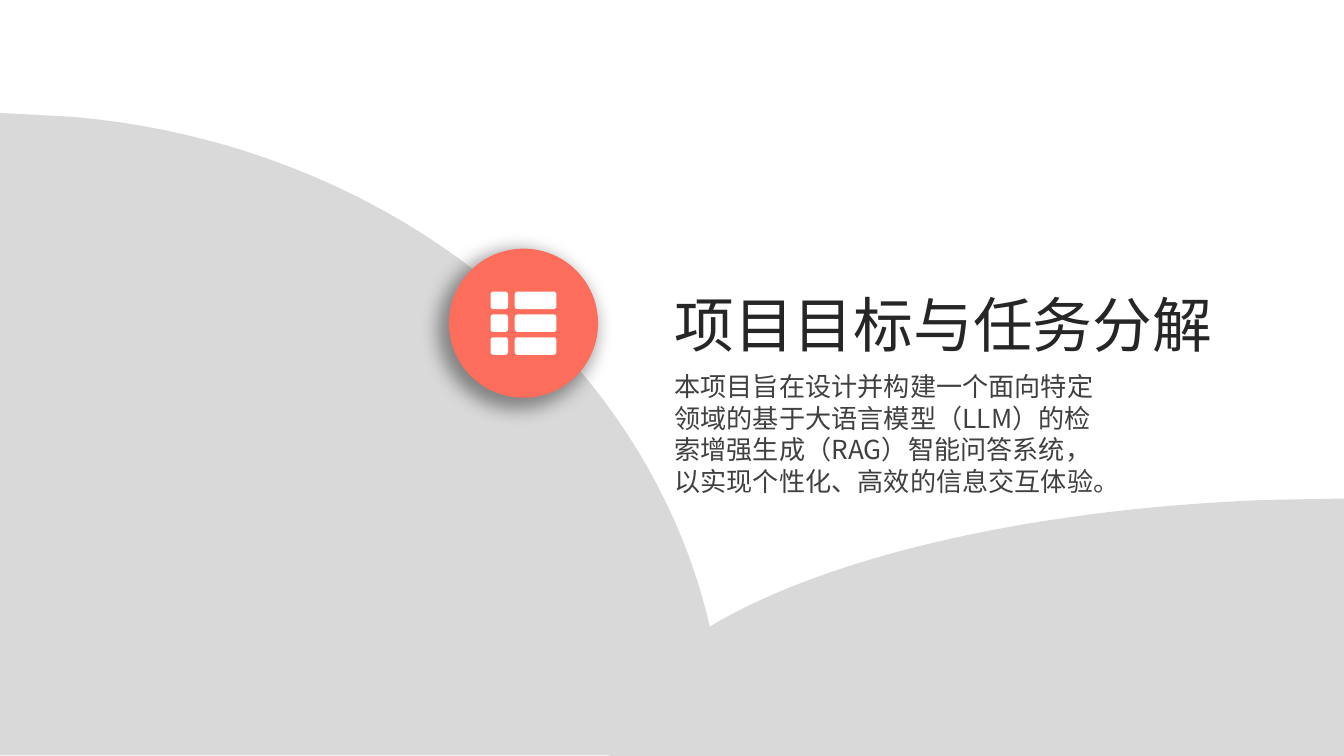
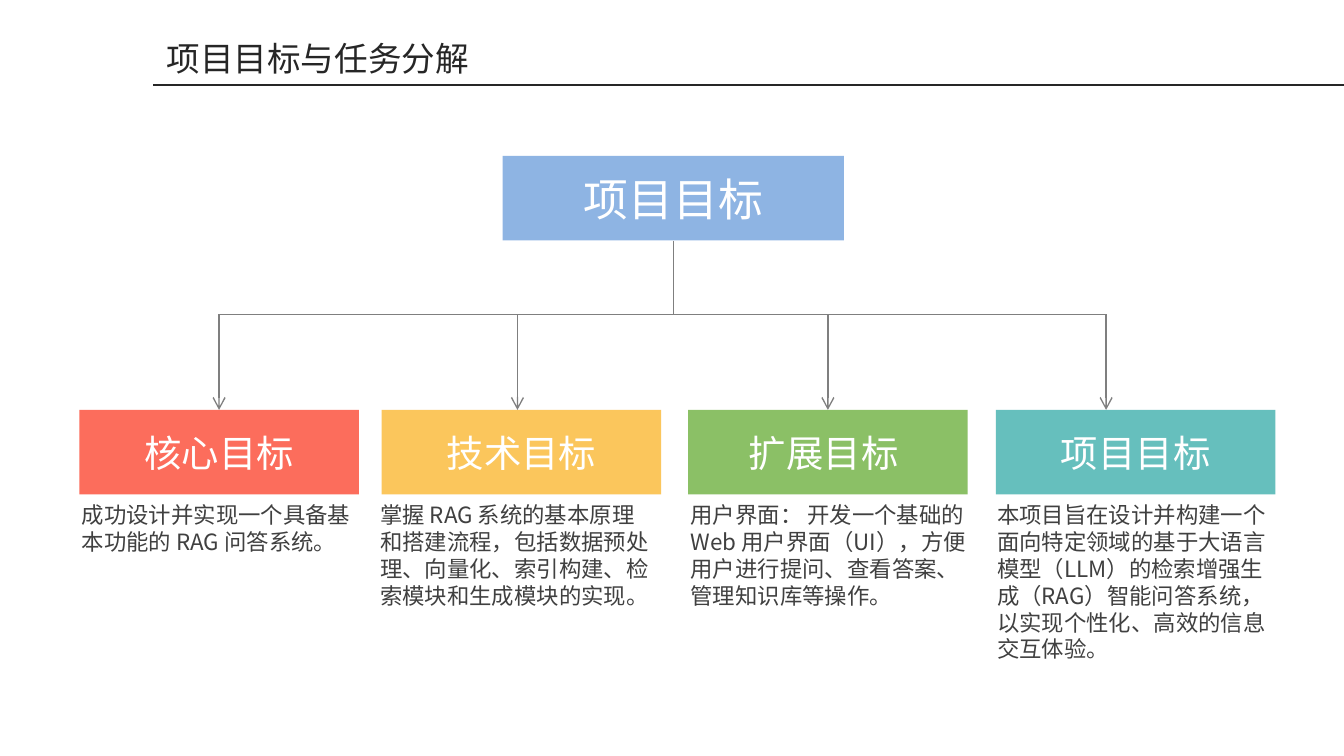
import math

from lxml import etree
from pptx import Presentation
from pptx import util as u
from pptx.dml.color import RGBColor
from pptx.enum import shapes, text
from pptx.oxml.ns import qn

FONT = "Noto Sans CJK SC"
DARK, BODY, GREY, HILL, WHITE = "262626", "404040", "7F7F7F", "D9D9D9", "FFFFFF"
CORAL, YELLOW, GREEN, TEAL, BLUE = "FC6D5C", "FBC65C", "8BC066", "66BFBD", "8EB4E3"
TITLE = "项目目标与任务分解"
INTRO = ("本项目旨在设计并构建一个面向特定领域的基于大语言模型（LLM）的检索增强生成（RAG）"
         "智能问答系统，以实现个性化、高效的信息交互体验。")
color = RGBColor.from_string


def write(slide, words, box, size, ink, fill=None, wrap=True):
    """Add a text box, or a filled rectangle with centred text."""
    place = [u.Inches(value) for value in box]
    if fill:
        shape = slide.shapes.add_shape(shapes.MSO_SHAPE.RECTANGLE, *place)
        shape.shadow.inherit = False
        shape.fill.solid()
        shape.fill.fore_color.rgb = color(fill)
        shape.line.fill.background()
        frame_format = {"vertical_anchor": text.MSO_ANCHOR.MIDDLE, "word_wrap": wrap}
    else:
        shape = slide.shapes.add_textbox(*place)
        frame_format = {"auto_size": text.MSO_AUTO_SIZE.SHAPE_TO_FIT_TEXT, "word_wrap": wrap}
    for name, value in frame_format.items():
        setattr(shape.text_frame, name, value)
    paragraph = shape.text_frame.paragraphs[0]
    paragraph.alignment = text.PP_ALIGN.CENTER if fill else text.PP_ALIGN.LEFT
    run = paragraph.add_run()
    run.text = words
    for name, value in {"size": u.Pt(size), "name": FONT, "bold": False}.items():
        setattr(run.font, name, value)
    run.font.color.rgb = color(ink)
    etree.SubElement(run.font._element, qn("a:ea"), typeface=FONT)
    return shape


def outline(slide, contours, fill):
    """Add one filled freeform from closed contours given in inches."""
    contours = [[(u.Inches(x), u.Inches(y)) for x, y in contour] for contour in contours]
    builder = slide.shapes.build_freeform(*contours[0][0])
    for index, contour in enumerate(contours):
        if index:
            builder.move_to(*contour[0])
        builder.add_line_segments(contour[1:], close=True)
    shape = builder.convert_to_shape()
    shape.shadow.inherit = False
    shape.fill.solid()
    shape.fill.fore_color.rgb = color(fill)
    shape.line.fill.background()


# Widescreen 16:9 page
presentation = Presentation()
presentation.slide_width = u.Inches(10)
presentation.slide_height = u.Inches(10 * 9 / 16)
blank = presentation.slide_layouts[6]

# Section slide: two hills, each a Bézier slope closed by straight edges
slide = presentation.slides.add_slide(blank)
hills = [
    ([(4.53, 5.64), (4.53, 4.64), (6.68, 3.82), (9.44, 3.72)], [(10, 3.71), (10, 5.64)]),
    ([(5.39, 5.62), (5.39, 3.15), (3.27, 1.11), (0.55, 0.87)], [(0, 0.84), (0, 5.62)]),
]
STEPS = 48
for controls, edges in hills:
    slope = []
    for step in range(STEPS + 1):
        t = step / STEPS
        weights = [math.comb(3, k) * t ** k * (1 - t) ** (3 - k) for k in range(4)]
        slope.append([sum(w * point[axis] for w, point in zip(weights, controls))
                      for axis in (0, 1)])
    outline(slide, [slope + edges], HILL)

write(slide, TITLE, (4.92, 2.09, 4.24, 0.64), 32, DARK, wrap=False)

# Badge with a soft shadow, slightly larger than the badge
badge = slide.shapes.add_shape(shapes.MSO_SHAPE.OVAL, u.Inches(3.34), u.Inches(1.85),
                               u.Inches(1.11), u.Inches(1.11))
badge.shadow.inherit = False
badge.fill.solid()
badge.fill.fore_color.rgb = color(CORAL)
badge.line.fill.background()
effects = badge._element.spPr.find(qn("a:effectLst"))
shadow = etree.SubElement(effects, qn("a:outerShdw"), blurRad=str(u.Pt(10)),
                          dist=str(u.Pt(5)), dir=str(135 * 60000), sx="106000",
                          sy="106000", algn="ctr", rotWithShape="0")
shade = etree.SubElement(shadow, qn("a:srgbClr"), val="000000")
etree.SubElement(shade, qn("a:alpha"), val="40000")

# List icon: three rows of a bullet and a bar, with rounded corners
RADIUS = 0.02
tiles = []
for left, right in ((3.65, 3.78), (3.83, 4.14)):
    for row in range(3):
        top = 2.17 + row * 0.17
        bottom = top + 0.13
        corners = [(right - RADIUS, bottom - RADIUS), (left + RADIUS, bottom - RADIUS),
                   (left + RADIUS, top + RADIUS), (right - RADIUS, top + RADIUS)]
        tiles.append([(x + RADIUS * math.cos(math.radians(angle)),
                       y + RADIUS * math.sin(math.radians(angle)))
                      for quarter, (x, y) in enumerate(corners)
                      for angle in range(quarter * 90, quarter * 90 + 91, 30)])
outline(slide, tiles, WHITE)

write(slide, INTRO, (4.92, 2.71, 3.37, 1.04), 14, BODY)

# Goal tree slide: header
slide = presentation.slides.add_slide(blank)
write(slide, TITLE, (1.14, 0.23, 2.47, 0.4), 18, DARK, wrap=False)

# Goal boxes and their descriptions: heading, colour, box left, arrow x, text left, height
BAR_Y, GOAL_Y, GOAL_W, GOAL_H = 2.34, 3.05, 2.08, 0.63
goals = [
    ("核心目标", CORAL, 0.59, 1.63, 0.51, 0.5,
     "成功设计并实现一个具备基本功能的 RAG 问答系统。"),
    ("技术目标", YELLOW, 2.84, 3.85, 2.73, 0.91,
     "掌握 RAG 系统的基本原理和搭建流程，包括数据预处理、向量化、索引构建、检索模块和生成模块的实现。"),
    ("扩展目标 ", GREEN, 5.12, 6.16, 5.04, 0.91,
     "用户界面： 开发一个基础的 Web 用户界面（UI），方便用户进行提问、查看答案、管理知识库等操作。"),
    ("项目目标", TEAL, 7.41, 8.23, 7.32, 1.31, INTRO),
]
root = write(slide, "项目目标", (3.74, 1.16, 2.54, GOAL_H), 24, WHITE, BLUE)

# Lines: start, end, colour, width, arrowhead, joined start box, joined end box
lines = [
    ((1.14, 0.63), (10, 0.63), DARK, 1, False, None, None),
    ((goals[0][3], BAR_Y), (goals[-1][3], BAR_Y), GREY, 0.75, False, None, None),
    ((5.01, 1.79), (5.01, BAR_Y), GREY, 0.75, False, root, None),
]
for heading, fill, left, arrow_x, text_left, height, detail in goals:
    goal = write(slide, heading, (left, GOAL_Y, GOAL_W, GOAL_H), 20, WHITE, fill)
    write(slide, detail, (text_left, GOAL_Y + GOAL_H, 2.25, height), 12, BODY)
    centred = math.isclose(arrow_x, left + GOAL_W / 2, abs_tol=0.01)
    lines.append(((arrow_x, BAR_Y), (arrow_x, GOAL_Y), GREY, 0.75, True,
                  None, goal if centred else None))

for start, end, ink, width, arrow, start_box, end_box in lines:
    connector = slide.shapes.add_connector(
        shapes.MSO_CONNECTOR.STRAIGHT, *[u.Inches(value) for value in start + end])
    connector.line.color.rgb = color(ink)
    connector.line.width = u.Pt(width)
    if arrow:
        etree.SubElement(connector.line._get_or_add_ln(), qn("a:tailEnd"), type="arrow")
    etree.SubElement(connector._element.spPr, qn("a:effectLst"))
    if start_box:
        connector.begin_connect(start_box, 2)
    if end_box:
        connector.end_connect(end_box, 0)

presentation.save("out.pptx")
